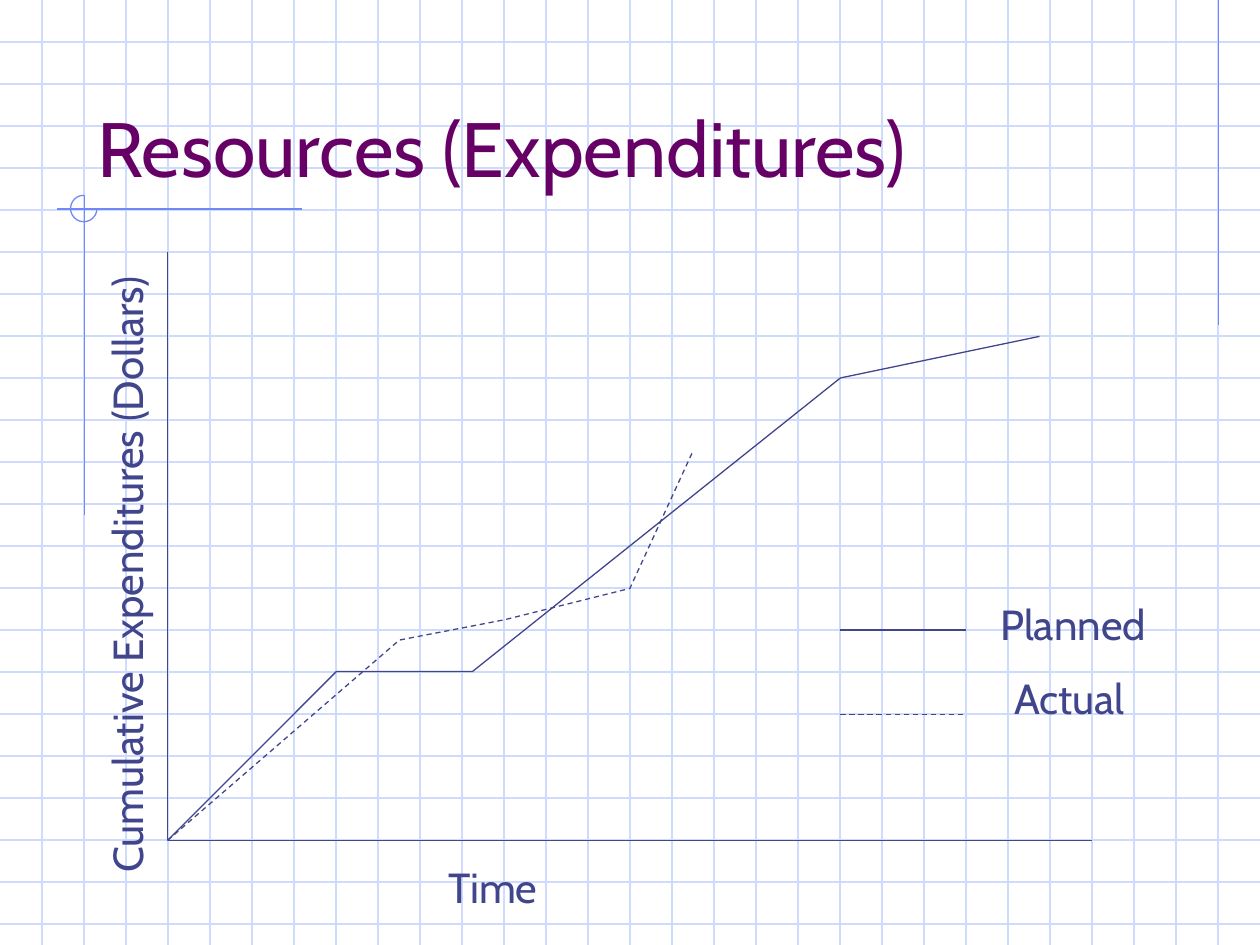
from pptx import Presentation
from pptx.dml.color import RGBColor
from pptx.enum.dml import MSO_LINE
from pptx.enum.shapes import MSO_CONNECTOR, MSO_SHAPE
from pptx.enum.text import MSO_ANCHOR, MSO_AUTO_SIZE, PP_ALIGN
from pptx.oxml.ns import qn
from pptx.util import Inches, Pt
from lxml.etree import SubElement

GRID = RGBColor(0xCF, 0xDB, 0xFD)
BLUE = RGBColor(0x6F, 0x89, 0xF7)
NAVY = RGBColor(0x40, 0x45, 0x8C)
PLUM = RGBColor(0x66, 0x00, 0x66)
FONT = "Cabin"
WIDE, HIGH, STEP = 10, 7.5, 1 / 3


def style_line(line, color, dash):
    line.color.rgb = color
    line.width = Pt(0.75)
    if dash:
        line.dash_style = MSO_LINE.DASH


def add_line(shapes, x1, y1, x2, y2, color=NAVY, dash=False):
    ends = [Inches(v) for v in (x1, y1, x2, y2)]
    line = shapes.add_connector(MSO_CONNECTOR.STRAIGHT, *ends)
    style_line(line.line, color, dash)
    SubElement(line._element.spPr, qn("a:effectLst"))


def add_curve(shapes, points, dash=False):
    spots = [(Inches(x), Inches(y)) for x, y in points]
    pen = shapes.build_freeform(*spots[0])
    pen.add_line_segments(spots[1:], close=False)
    curve = pen.convert_to_shape()
    curve.fill.background()
    curve.shadow.inherit = False
    style_line(curve.line, NAVY, dash)


def style_text(frame, text, size, color):
    frame.text = text
    frame.paragraphs[0].alignment = PP_ALIGN.LEFT
    font = frame.paragraphs[0].runs[0].font
    font.name, font.size, font.color.rgb = FONT, Pt(size), color


def add_label(shapes, text, left, top, width, turn=0):
    box = shapes.add_textbox(Inches(left), Inches(top), Inches(width), Inches(0.5))
    box.rotation = turn
    box.text_frame.word_wrap = False
    box.text_frame.auto_size = MSO_AUTO_SIZE.SHAPE_TO_FIT_TEXT
    style_text(box.text_frame, text, 24, NAVY)


def add_grid(shapes):
    for i in range(1, 23):
        add_line(shapes, 0, i * STEP, WIDE, i * STEP, GRID)
    for i in range(1, 30):
        add_line(shapes, i * STEP, 0, i * STEP, HIGH, GRID)


def add_accents(shapes):
    add_line(shapes, 9.67, 0, 9.67, 2.58, BLUE)
    add_line(shapes, 2.4, 1.66, 0.45, 1.66, BLUE)
    add_line(shapes, 0.67, 1.55, 0.67, 4.09, BLUE)
    # Three quarters of a circle, clockwise from the right to the top
    arc = shapes.add_shape(MSO_SHAPE.ARC, Inches(0.56), Inches(1.55),
                           Inches(0.21), Inches(0.21))
    arc.adjustments[0], arc.adjustments[1] = 0, 162
    arc.fill.background()
    arc.shadow.inherit = False
    style_line(arc.line, BLUE, False)


def add_title(shapes, text):
    title = shapes.title
    title.left, title.top = Inches(0.67), Inches(0.33)
    title.width, title.height = Inches(8.5), Inches(1.25)
    title.text_frame.vertical_anchor = MSO_ANCHOR.BOTTOM
    title.text_frame.word_wrap = True
    style_text(title.text_frame, text, 44, PLUM)
    shapes._spTree.append(title._element)  # in front of the grid


def main():
    deck = Presentation()
    deck.slide_width, deck.slide_height = Inches(WIDE), Inches(HIGH)
    shapes = deck.slides.add_slide(deck.slide_layouts[5]).shapes

    # Backdrop and title
    add_grid(shapes)
    add_accents(shapes)
    add_title(shapes, "Resources (Expenditures)")

    # Axes
    add_line(shapes, 1.33, 2, 1.33, 6.67)
    add_line(shapes, 1.33, 6.67, 8.67, 6.67)
    add_label(shapes, "Cumulative Expenditures (Dollars)", -1.75, 4.02, 5.51, 270)
    add_label(shapes, "Time", 3.46, 6.79, 0.97)

    # Spending curves
    add_curve(shapes, [(1.33, 6.67), (2.67, 5.33), (3.75, 5.33), (6.67, 3),
                       (8.25, 2.67)])
    add_curve(shapes, [(1.33, 6.67), (3.17, 5.08), (4, 4.92), (5, 4.67),
                       (5.5, 3.58)], dash=True)

    # Legend
    add_line(shapes, 6.67, 5, 7.67, 5)
    add_label(shapes, "Planned", 7.84, 4.7, 1.48)
    add_line(shapes, 6.67, 5.67, 7.67, 5.67, dash=True)
    add_label(shapes, "Actual", 7.95, 5.29, 1.17)

    deck.save("out.pptx")


if __name__ == "__main__":
    main()
